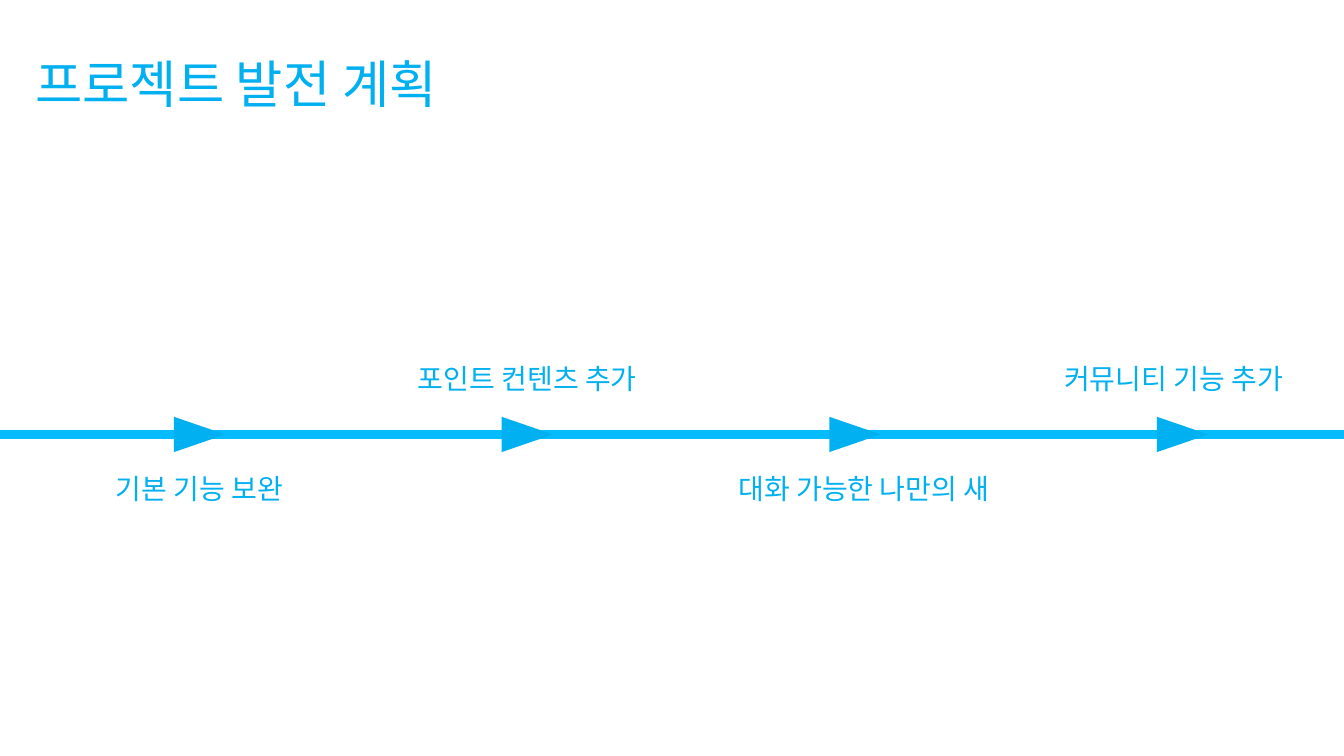
import dataclasses

import lxml.etree
import pptx
import pptx.dml.color
import pptx.enum.shapes
import pptx.enum.text
import pptx.oxml.ns
import pptx.util

Inches = pptx.util.Inches
Pt = pptx.util.Pt
Align = pptx.enum.text.PP_ALIGN

COLORS = {"text": "00B0F0", "marker": "00B0F0", "axis": "05BCFE"}
FONT = "Noto Sans CJK KR"
WIDTH, HEIGHT = 13.33, 7.5

AXIS_Y = 4.31
FIRST_COLUMN, COLUMN_PITCH = 1.98, 3.25
ROW_ABOVE, ROW_BELOW = 3.59, 4.68
LABEL_WIDTH, LABEL_HEIGHT = 3, 0.34
MARKER_WIDTH, MARKER_HEIGHT = 0.35, 0.51


@dataclasses.dataclass
class Milestone:
    label: str
    row: float
    shift: float = 0  # label centre relative to its marker


MILESTONES = [
    Milestone("기본 기능 보완", ROW_BELOW),
    Milestone("포인트 컨텐츠 추가", ROW_ABOVE),
    Milestone("대화 가능한 나만의 새", ROW_BELOW, 0.09),
    Milestone("커뮤니티 기능 추가", ROW_ABOVE, -0.09),
]


def color(name: str) -> pptx.dml.color.RGBColor:
    return pptx.dml.color.RGBColor.from_string(COLORS[name])


def write_text(box, text: str, size: float, spacing: float, align) -> None:
    frame = box.text_frame
    frame.word_wrap = True
    frame.auto_size = pptx.enum.text.MSO_AUTO_SIZE.NONE
    frame.vertical_anchor = pptx.enum.text.MSO_ANCHOR.TOP
    frame.margin_left = frame.margin_right = 0
    frame.margin_top = frame.margin_bottom = 0
    para = frame.paragraphs[0]
    para.text = text
    para.alignment = align
    para.line_spacing = Pt(spacing)
    para.font.size = Pt(size)
    para.font.name = FONT
    para.font.color.rgb = color("text")
    properties = para.font._element
    east_asian = lxml.etree.SubElement(properties, pptx.oxml.ns.qn("a:ea"))
    east_asian.set("typeface", FONT)


def add_title(page) -> None:
    title = page.shapes.title
    title.left, title.top = Inches(0.35), Inches(0.52)
    title.width, title.height = Inches(8.12), Inches(0.58)
    write_text(title, "프로젝트 발전 계획", 36.7, 44, Align.LEFT)


def add_axis(page) -> None:
    axis = page.shapes.add_connector(
        pptx.enum.shapes.MSO_CONNECTOR.STRAIGHT,
        0, Inches(AXIS_Y), Inches(WIDTH), Inches(AXIS_Y),
    )
    axis.line.color.rgb = color("axis")
    axis.line.width = Pt(6)
    lxml.etree.SubElement(axis._element.spPr, pptx.oxml.ns.qn("a:effectLst"))


def add_milestone(page, milestone: Milestone, center: float) -> None:
    label = page.shapes.add_textbox(
        Inches(center + milestone.shift - LABEL_WIDTH / 2), Inches(milestone.row),
        Inches(LABEL_WIDTH), Inches(LABEL_HEIGHT),
    )
    write_text(label, milestone.label, 20, 24, Align.CENTER)

    marker = page.shapes.add_shape(
        pptx.enum.shapes.MSO_SHAPE.ISOSCELES_TRIANGLE,
        Inches(center - MARKER_WIDTH / 2), Inches(AXIS_Y - MARKER_HEIGHT / 2),
        Inches(MARKER_WIDTH), Inches(MARKER_HEIGHT),
    )
    marker.rotation = 90
    marker.shadow.inherit = False
    marker.fill.solid()
    marker.fill.fore_color.rgb = color("marker")
    marker.line.fill.background()


def main() -> None:
    deck = pptx.Presentation()
    deck.slide_width, deck.slide_height = Inches(WIDTH), Inches(HEIGHT)
    page = deck.slides.add_slide(deck.slide_layouts.get_by_name("Title Only"))
    add_title(page)
    add_axis(page)
    for column, milestone in enumerate(MILESTONES):
        add_milestone(page, milestone, FIRST_COLUMN + column * COLUMN_PITCH)
    deck.save("out.pptx")


if __name__ == "__main__":
    main()
